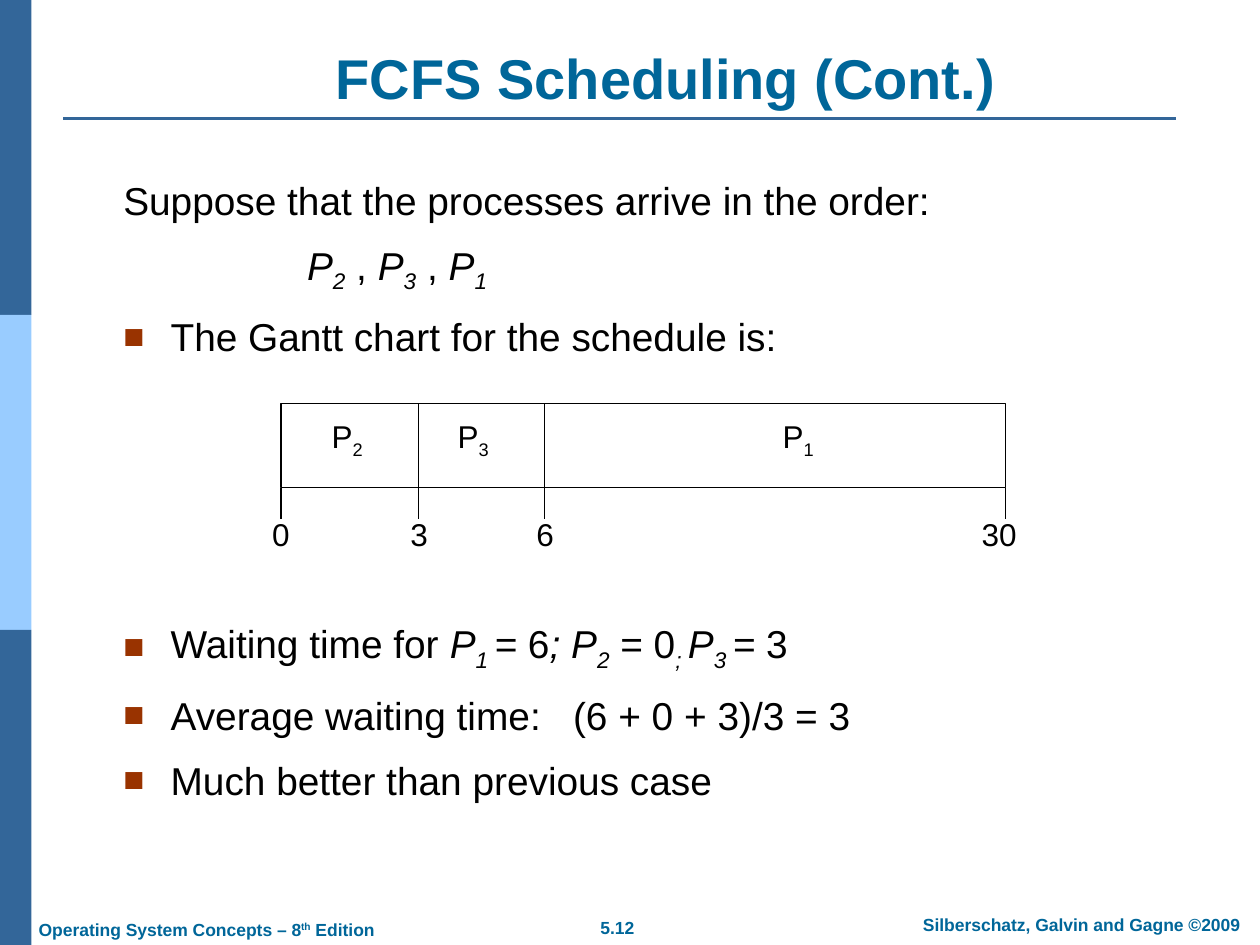
from lxml.etree import SubElement
from pptx import Presentation
from pptx.dml.color import RGBColor
from pptx.enum.shapes import MSO_CONNECTOR, MSO_SHAPE
from pptx.enum.text import MSO_ANCHOR, MSO_AUTO_SIZE, PP_ALIGN
from pptx.oxml.ns import qn
from pptx.util import Pt

# Colours and font
BLACK = RGBColor(0x00, 0x00, 0x00)
WHITE = RGBColor(0xFF, 0xFF, 0xFF)
TEAL = RGBColor(0x00, 0x66, 0x99)
DARK_BLUE = RGBColor(0x33, 0x66, 0x99)
LIGHT_BLUE = RGBColor(0x99, 0xCC, 0xFF)
BULLET_COLOR = "993300"
FONT = "Arial"

# Content: each run is (text, style); i = italic, s = subscript, u = superscript
TITLE = "FCFS Scheduling (Cont.)"
BODY = [  # bulleted, left indent, space before, runs
    (False, 0, 0, [("Suppose that the processes arrive in the order:", "")]),
    (False, 105, 10.5, [("P", "i"), ("2", "is"), (" , ", ""), ("P", "i"), ("3", "is"),
                        (" , ", ""), ("P", "i"), ("1", "is")]),
    (True, 27, 10.5, [("The Gantt chart for the schedule is:", "")]),
    (True, 27, 149, [("Waiting time for ", ""), ("P", "i"), ("1 ", "is"), ("=", "i"),
                     (" 6", ""), ("; P", "i"), ("2", "is"), (" = 0", ""), ("; ", "is"),
                     ("P", "i"), ("3 ", "is"), ("= ", "i"), ("3", "")]),
    (True, 27, 10.5, [("Average waiting time:\t(6 + 0 + 3)/3 = 3", "")]),
    (True, 27, 10.5, [("Much better than previous case", "")]),
]
FORMULA_TAB = 257
PROCESSES = [("2", 198.4), ("3", 270.4), ("1", 456.1)]  # number, label centre
TIMES = [("0", 160.5, 160.5), ("3", 239, 239.5), ("6", 311, 311.5),
         ("30", 574.5, 571)]  # time, tick position, label centre
BAR_TOP, BAR_BOTTOM, TICK_BOTTOM = 230.4, 278.6, 296.6
FOOTERS = [  # runs, left, top, width, alignment
    ([("Operating System Concepts – 8", ""), ("th", "u"), (" Edition", "")],
     15, 521.3, 250, PP_ALIGN.LEFT),
    ([("5.12", "")], 317.5, 520.6, 70.5, PP_ALIGN.CENTER),
    ([("Silberschatz, Galvin and Gagne ©2009", "")], 516, 518.4, 204, PP_ALIGN.CENTER),
]


def add_runs(paragraph, runs, size, color=BLACK, bold=False):
    for text, style in runs:
        run = paragraph.add_run()
        run.text = text
        font = run.font
        font.name, font.size, font.bold = FONT, Pt(size), bold
        font.italic = "i" in style
        font.color.rgb = color
        if "s" in style:
            font._element.set("baseline", "-25000")
        elif "u" in style:
            font._element.set("baseline", "30000")


def add_label(slide, runs, left, top, width, height, size,
              color=BLACK, bold=False, align=PP_ALIGN.CENTER):
    box = slide.shapes.add_textbox(Pt(left), Pt(top), Pt(width), Pt(height))
    frame = box.text_frame
    frame.word_wrap = False
    frame.vertical_anchor = MSO_ANCHOR.MIDDLE
    paragraph = frame.paragraphs[0]
    paragraph.alignment = align
    add_runs(paragraph, runs, size, color, bold)


def add_rectangle(slide, left, top, width, height, fill, line=None):
    shape = slide.shapes.add_shape(MSO_SHAPE.RECTANGLE, Pt(left), Pt(top), Pt(width), Pt(height))
    shape.shadow.inherit = False
    shape.fill.solid()
    shape.fill.fore_color.rgb = fill
    if line is None:
        shape.line.fill.background()
    else:
        shape.line.color.rgb = line
        shape.line.width = Pt(0.75)


def add_line(slide, x1, y1, x2, y2, color=BLACK, width=0.75):
    line = slide.shapes.add_connector(MSO_CONNECTOR.STRAIGHT, Pt(x1), Pt(y1), Pt(x2), Pt(y2))
    line.line.color.rgb = color
    line.line.width = Pt(width)
    SubElement(line._element.spPr, qn("a:effectLst"))


def add_bullet(properties):
    color = SubElement(properties, qn("a:buClr"))
    SubElement(color, qn("a:srgbClr"), val=BULLET_COLOR)
    SubElement(properties, qn("a:buSzPct"), val="90000")
    SubElement(properties, qn("a:buFont"), typeface=FONT)
    SubElement(properties, qn("a:buChar"), char="■")


def add_body(slide):
    box = slide.shapes.add_textbox(Pt(63.4), Pt(97.2), Pt(648), Pt(357))
    frame = box.text_frame
    frame.word_wrap = True
    for index, (bulleted, indent, space, runs) in enumerate(BODY):
        paragraph = frame.paragraphs[0] if index == 0 else frame.add_paragraph()
        paragraph.space_before = Pt(space)
        properties = paragraph._p.get_or_add_pPr()
        properties.set("marL", str(Pt(indent)))
        properties.set("indent", str(Pt(-indent if bulleted else 0)))
        if bulleted:
            add_bullet(properties)
        if any("\t" in text for text, _ in runs):
            tabs = SubElement(properties, qn("a:tabLst"))
            SubElement(tabs, qn("a:tab"), pos=str(Pt(FORMULA_TAB)), algn="l")
        add_runs(paragraph, runs, 22.2)


def add_gantt(slide):
    start, end = TIMES[0][1], TIMES[-1][1]
    add_rectangle(slide, start, BAR_TOP, end - start, BAR_BOTTOM - BAR_TOP, WHITE, BLACK)
    for number, center in PROCESSES:
        add_label(slide, [("P", ""), (number, "s")], center - 25, 234.7, 50, 31.7, 18)
    for time, tick, center in TIMES:
        top = BAR_BOTTOM if tick in (start, end) else BAR_TOP
        add_line(slide, tick, top, tick, TICK_BOTTOM)
        add_label(slide, [(time, "")], center - 25, 290.6, 50, 28.8, 18)


def main():
    presentation = Presentation()
    presentation.slide_width, presentation.slide_height = Pt(720), Pt(540)
    slide = presentation.slides.add_slide(presentation.slide_layouts[5])

    # Side band and title rule
    for index, color in enumerate((DARK_BLUE, LIGHT_BLUE, DARK_BLUE)):
        add_rectangle(slide, 0, index * 180, 18, 180, color)
    add_line(slide, 36, 67.7, 672, 67.7, DARK_BLUE, 1.5)

    # Title
    title = slide.shapes.title
    title.left, title.top, title.width, title.height = Pt(77), Pt(21.6), Pt(607), Pt(45.4)
    frame = title.text_frame
    frame.auto_size = MSO_AUTO_SIZE.NONE
    frame.vertical_anchor = MSO_ANCHOR.BOTTOM
    frame.paragraphs[0].alignment = PP_ALIGN.CENTER
    add_runs(frame.paragraphs[0], [(TITLE, "")], 32, TEAL, True)

    # Body, chart and footers
    add_body(slide)
    add_gantt(slide)
    for runs, left, top, width, align in FOOTERS:
        add_label(slide, runs, left, top, width, 19.4, 10, TEAL, True, align)
    presentation.save("out.pptx")


if __name__ == "__main__":
    main()
